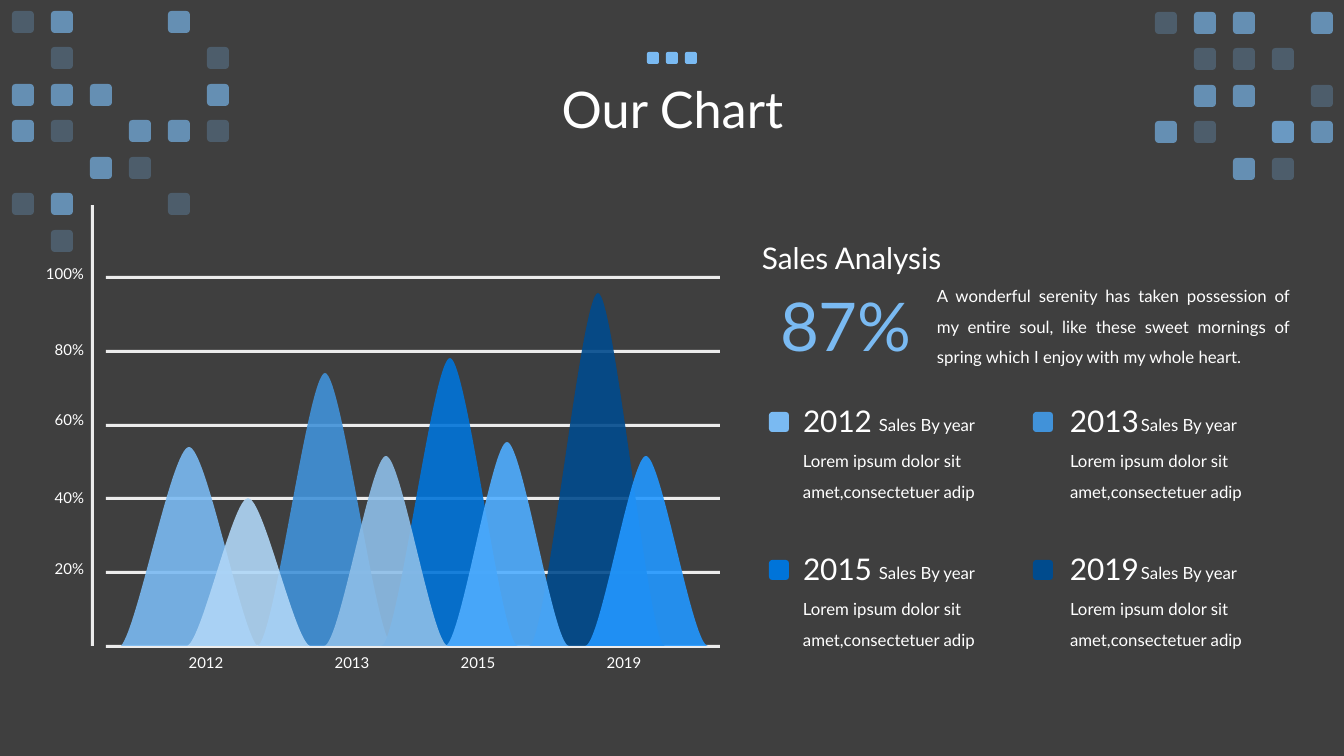
import pptx
import pptx.dml.color
import pptx.enum.shapes
import pptx.enum.text
import pptx.oxml
import pptx.oxml.ns
import pptx.util

RGBColor = pptx.dml.color.RGBColor
ALIGN = pptx.enum.text.PP_ALIGN
ANCHOR = pptx.enum.text.MSO_ANCHOR
SHAPE = pptx.enum.shapes.MSO_SHAPE

BACKGROUND = RGBColor(0x3F, 0x3F, 0x3F)
WHITE = RGBColor(0xFF, 0xFF, 0xFF)
SKY = RGBColor(0x7A, 0xBA, 0xF2)
STEEL = RGBColor(0x41, 0x92, 0xD9)
BLUE = RGBColor(0x00, 0x74, 0xD9)
NAVY = RGBColor(0x00, 0x4B, 0x8D)
PALE = RGBColor(0xAF, 0xD6, 0xF7)
BRIGHT = RGBColor(0x22, 0x97, 0xFF)
AZURE = RGBColor(0x4F, 0xAD, 0xFF)
MIST = RGBColor(0x8D, 0xBE, 0xE8)

FONT = "Lato"
PX = 914400 / 100.8  # EMU in one px

# Content
TITLE = "Our Chart"
HEADING = "Sales Analysis"
SHARE = "87%"
SUMMARY = ("A wonderful serenity has taken possession of my entire soul, like these "
           "sweet mornings of spring which I enjoy with my whole heart.")
CAPTION = "Sales By year"
DETAIL = "Lorem ipsum dolor sit amet,consectetuer adip"
LEGEND = [[("2012", SKY), ("2013", STEEL)], [("2015", BLUE), ("2019", NAVY)]]
LEGEND_COLUMNS = [  # marker, year, caption, year width, detail width
    (769, 790, 866, 114, 220),
    (1033, 1057, 1128, 127, 228),
]
PERCENT_LABELS = [("100%", 260), ("80%", 336), ("60%", 406), ("40%", 484), ("20%", 555)]
YEAR_LABELS = [("2012", 206), ("2013", 352), ("2015", 478), ("2019", 624)]
BASE = 646
PEAKS = [  # left, apex, right, top, lift of the foot, colour
    (121, 189, 257, 447, 20, SKY),
    (529, 598, 665, 293, 0, NAVY),
    (257, 325, 393, 373, 0, STEEL),
    (381, 450, 518, 358, 0, BLUE),
    (187, 248, 310, 498, 6, PALE),
    (585, 646, 708, 456, 0, BRIGHT),
    (445, 507, 569, 442, 0, AZURE),
    (324, 386, 448, 456, 0, MIST),
]
TINTS = {"-": (), "+": (25,), "#": (65,), "*": (65, 25)}
MOSAICS = [
    (12, 11, ["+#--#-", "-+---+", "###--#", "#+-##+", "--#+--", "+#--+-", "-+----"]),
    (1155, 12, ["+##-#", "-+++-", "-##-+", "#+-*#", "--#+-"]),
]

presentation = pptx.Presentation()
presentation.slide_width = round(1344 * PX)
presentation.slide_height = round(756 * PX)
slide = presentation.slides.add_slide(presentation.slide_layouts[6])
slide.background.fill.solid()
slide.background.fill.fore_color.rgb = BACKGROUND


def emu(*lengths):
    return [round(length * PX) for length in lengths]


def paint(shape, color, opacity=100):
    shape.shadow.inherit = False
    shape.line.fill.background()
    shape.fill.solid()
    shape.fill.fore_color.rgb = color
    if opacity < 100:
        color_element = shape.fill._xPr.find(".//" + pptx.oxml.ns.qn("a:srgbClr"))
        alpha = pptx.oxml.parse_xml(
            f'<a:alpha {pptx.oxml.ns.nsdecls("a")} val="{opacity * 1000}"/>')
        color_element.append(alpha)


def add_block(shapes, kind, left, top, width, height, color, opacity=100):
    paint(shapes.add_shape(kind, *emu(left, top, width, height)), color, opacity)


def add_text(text, left, top, width, height, size, color=WHITE, align=ALIGN.LEFT,
             spacing=None, anchor=ANCHOR.TOP, insets=(10, 5)):
    frame = slide.shapes.add_textbox(*emu(left, top, width, height)).text_frame
    frame.word_wrap = True
    frame.vertical_anchor = anchor
    frame.margin_left = frame.margin_right = round(insets[0] * PX)
    frame.margin_top = frame.margin_bottom = round(insets[1] * PX)
    frame.text = text
    paragraph = frame.paragraphs[0]
    paragraph.alignment = align
    if spacing:
        paragraph.line_spacing = spacing
    font = paragraph.runs[0].font
    font.name, font.size, font.color.rgb = FONT, pptx.util.Pt(size), color


def add_peak(left, apex, right, top, lift, color):
    """A triangle whose two sides are bent into S-shaped curves."""
    builder = slide.shapes.build_freeform(*emu(left, BASE))
    builder.add_line_segments([emu(apex, top), emu(right, BASE)], close=True)
    shape = builder.convert_to_shape()
    height = BASE - top
    rise, fall = (apex - left) / 4, (right - apex) / 4
    controls = [
        [(rise, height - lift), (3 * rise, 0)],
        [(apex - left + fall, 0), (apex - left + 3 * fall, height - lift)],
    ]
    sides = list(shape._element.iter(pptx.oxml.ns.qn("a:lnTo")))
    for side, handles in zip(sides, controls):
        points = "".join('<a:pt x="{}" y="{}"/>'.format(*emu(*handle)) for handle in handles)
        curve = pptx.oxml.parse_xml(
            f'<a:cubicBezTo {pptx.oxml.ns.nsdecls("a")}>{points}</a:cubicBezTo>')
        curve.append(side[0])
        side.getparent().replace(side, curve)
    paint(shape, color, 90)


# Title
add_text(TITLE, 93, 39, 1159, 146, 36, align=ALIGN.CENTER, spacing=0.9,
         anchor=ANCHOR.MIDDLE)

# Grid lines and vertical axis
for index in range(6):
    add_block(slide.shapes, SHAPE.RECTANGLE, 106, 276 + round(index * 73.8), 614, 3,
              WHITE, 90)
add_block(slide.shapes, SHAPE.RECTANGLE, 91, 205, 3, 441, WHITE, 90)

# Peaks
for peak in PEAKS:
    add_peak(*peak)

# Axis labels
for label, top in PERCENT_LABELS:
    add_text(label, 34, top, 60, 28, 10.7, align=ALIGN.RIGHT)
for label, center in YEAR_LABELS:
    add_text(label, center - 28, 649, 56, 28, 10.7, align=ALIGN.CENTER)

# Legend
for row, entries in enumerate(LEGEND):
    top = 396 + 148 * row
    for (year, color), columns in zip(entries, LEGEND_COLUMNS):
        marker, left, caption, year_width, detail_width = columns
        add_block(slide.shapes, SHAPE.ROUNDED_RECTANGLE, marker, top + 16, 20, 20, color)
        add_text(year, left, top, year_width, 55, 21.3, insets=(13, 7))
        add_text(CAPTION, caption, top + 12, 150, 29, 12, insets=(13, 7))
        add_text(DETAIL, left, top + 38, detail_width, 71, 12, spacing=1.5, insets=(13, 7))

# Analysis
add_text(HEADING, 752, 235, 214, 46, 21.3)
add_text(SUMMARY, 927, 271, 373, 98, 12, align=ALIGN.JUSTIFY, spacing=1.5)
add_text(SHARE, 770, 279, 154, 92, 48, SKY)

# Corner mosaics
for left, top, rows in MOSAICS:
    mosaic = slide.shapes.add_group_shape()
    for row, marks in enumerate(rows):
        for column, mark in enumerate(marks):
            for opacity in TINTS[mark]:
                add_block(mosaic.shapes, SHAPE.ROUNDED_RECTANGLE, left + 39 * column,
                          top + 73 * row // 2, 22, 22, SKY, opacity)

# Dots above the title
dots = slide.shapes.add_group_shape()
for index in range(3):
    add_block(dots.shapes, SHAPE.ROUNDED_RECTANGLE, 647 + 19 * index, 52, 12, 12, SKY)

presentation.save("out.pptx")
